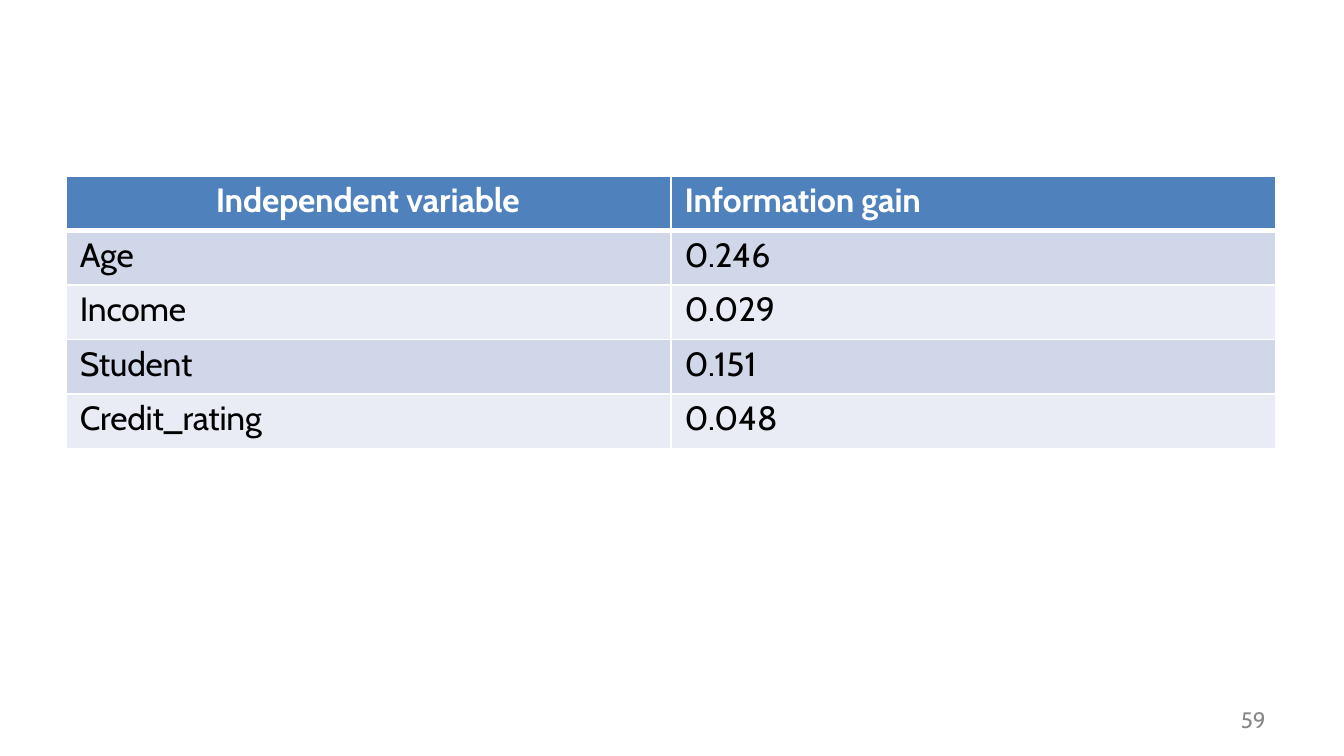
from pptx import Presentation
from pptx.dml.color import RGBColor as RGB
from pptx.enum.text import MSO_AUTO_SIZE as Fit
from pptx.oxml import parse_xml
from pptx.oxml.ns import nsdecls
from pptx.util import Pt

FONT = "Cabin"
WHITE, BLACK, GREY = "FFFFFF", "000000", "888888"
HEAD, BANDS = "4F81BC", ("D0D7E8", "E9ECF4")
ROWS = [
    ("Independent variable", "Information gain"),
    ("Age", "0.246"),
    ("Income", "0.029"),
    ("Student", "0.151"),
    ("Credit_rating", "0.048"),
]


def color(code):
    return RGB.from_string(code)


def assign(obj, **values):
    for name, value in values.items():
        setattr(obj, name, value)


def write(frame, text, size, code, bold=False, track=0):
    """Put one run in the frame; track is letter spacing in points."""
    run = frame.paragraphs[0].add_run()
    run.text = text
    assign(run.font, name=FONT, size=Pt(size), bold=bold)
    run.font.color.rgb = color(code)
    if track:
        run._r.get_or_add_rPr().set("spc", str(round(track * 100)))


def border(cell, **widths):
    """Draw white borders, given as L, R, T and B widths in points."""
    props = cell._tc.get_or_add_tcPr()
    for spot, (side, width) in enumerate(widths.items()):
        props.insert(spot, parse_xml(
            f'<a:ln{side} {nsdecls("a")} w="{Pt(width)}"><a:solidFill>'
            f'<a:srgbClr val="{WHITE}"/></a:solidFill></a:ln{side}>'))


def add_gains(slide, left, top, width, height):
    count, cols = len(ROWS), len(ROWS[0])
    table = slide.shapes.add_table(
        count, cols, Pt(left), Pt(top), Pt(width), Pt(height)).table
    for col in table.columns:
        col.width = Pt(width / cols)
    for r, texts in enumerate(ROWS):
        table.rows[r].height = Pt(height / count)
        head = r == 0
        for c, text in enumerate(texts):
            cell = table.cell(r, c)
            inset = 80 if head and c == 0 else 7.2
            assign(cell, margin_left=Pt(inset), margin_right=0,
                   margin_top=Pt(2.3), margin_bottom=0)
            cell.fill.solid()
            cell.fill.fore_color.rgb = color(HEAD if head else BANDS[(r - 1) % 2])
            border(cell, L=1, R=1, T=3 if r == 1 else 1, B=3 if head else 1)
            write(cell.text_frame, text, 18, WHITE if head else BLACK,
                  bold=head, track=-0.1 if head or c == 0 else 0)


def add_number(slide, left, top, width, height):
    box = slide.shapes.add_textbox(Pt(left), Pt(top), Pt(width), Pt(height))
    frame = box.text_frame
    assign(frame, word_wrap=True, auto_size=Fit.SHAPE_TO_FIT_TEXT,
           margin_left=Pt(3), margin_right=0, margin_top=0, margin_bottom=0)
    frame.paragraphs[0].line_spacing = Pt(12.4)
    write(frame, "59", 12, GREY)


def main():
    deck = Presentation()
    assign(deck, slide_width=Pt(720), slide_height=Pt(405))
    slide = deck.slides.add_slide(deck.slide_layouts[6])
    add_gains(slide, 35.6, 94.3, 648, 146)
    add_number(slide, 661.7, 380.2, 18, 14.4)
    deck.save("out.pptx")


if __name__ == "__main__":
    main()
